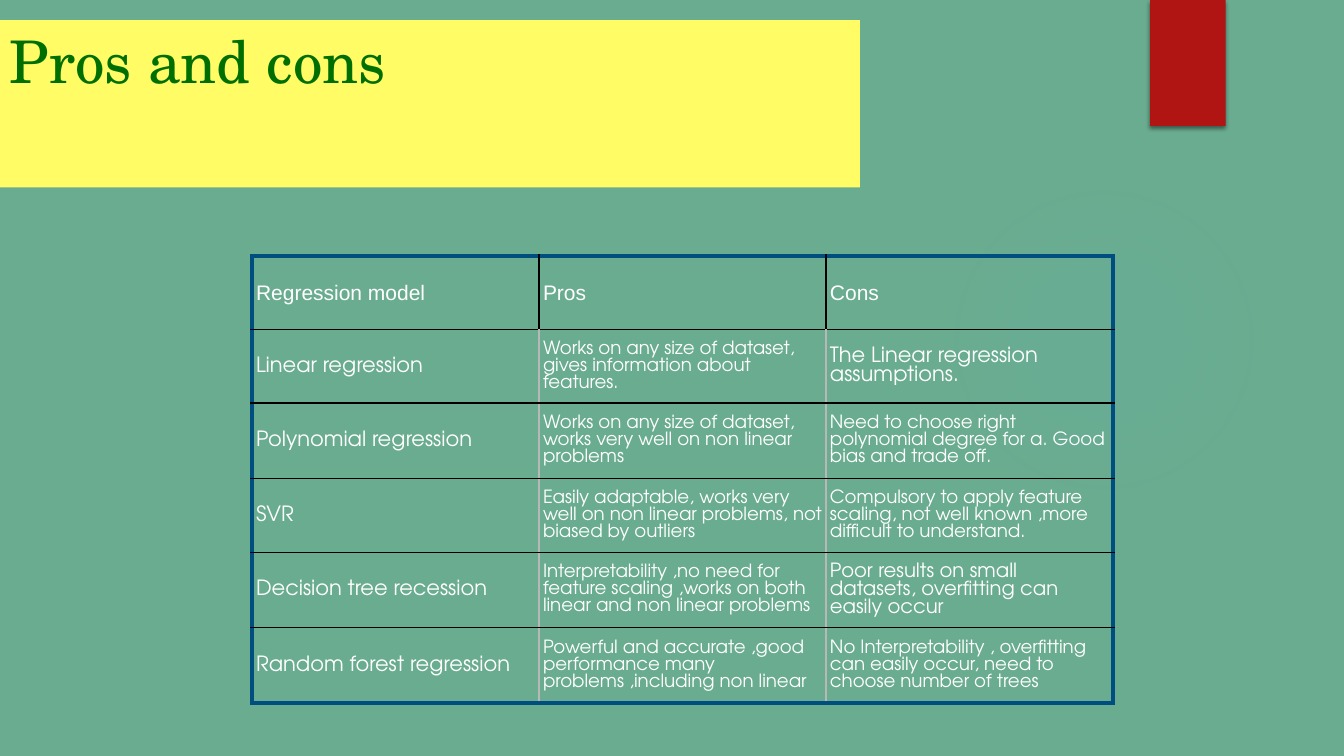
from lxml import etree
from pptx import Presentation
from pptx import util as u
from pptx.dml import color
from pptx.enum import shapes, text
from pptx.oxml import ns, parse_xml

WHITE, BLACK, BLUE, GREY = "FFFFFF", "000000", "004D80", "B8B8B8"
HEADINGS = ["Regression model", "Pros", "Cons"]
MODELS = [
    ("Linear regression",
     "Works on any size of dataset, gives information about features.",
     "The Linear regression assumptions.", 15),
    ("Polynomial regression",
     "Works on any size of dataset, works very well on non linear problems",
     "Need to choose right polynomial degree for a. Good bias and trade off.", 13),
    ("SVR",
     "Easily adaptable, works very well on non linear problems, not biased by outliers",
     "Compulsory to apply feature scaling, not well known ,more difficult to understand.", 13),
    ("Decision tree recession",
     "Interpretability ,no need for feature scaling ,works on both linear and non linear problems",
     "Poor results on small datasets, overfitting can easily occur", 14),
    ("Random forest regression",
     "Powerful and accurate ,good performance many problems ,including non linear",
     "No Interpretability , overfitting can easily occur, need to choose number of trees", 13),
]
ROW_HEIGHTS = [52.5, 52.5, 54, 52.5, 54, 54]


def rgb(value):
    return color.RGBColor.from_string(value)


def drawing(tag, body="", attributes=""):
    return parse_xml(f'<a:{tag} {ns.nsdecls("a")} {attributes}>{body}</a:{tag}>')


def tinted(value, alpha):
    return f'<a:srgbClr val="{value}"><a:alpha val="{alpha * 1000}"/></a:srgbClr>'


class SlideBuilder:
    """Holds the fonts and the current slide, and adds each kind of element."""

    title_font = "TeX Gyre Schola"
    body_font = "TeX Gyre Adventor"
    heading_font = "Arial"

    def __init__(self, page, background):
        self.page = page
        page.background.fill.solid()
        page.background.fill.fore_color.rgb = rgb(background)

    def add_words(self, frame, wording, font, size, ink, leading=None):
        para = frame.paragraphs[0]
        para.alignment = text.PP_ALIGN.LEFT
        para.line_spacing = leading
        span = para.add_run()
        span.text = wording
        for key, value in {"name": font, "size": u.Pt(size)}.items():
            setattr(span.font, key, value)
        span.font.color.rgb = rgb(ink)

    def shape(self, kind, left, top, width, height, fill):
        box = self.page.shapes.add_shape(
            kind, u.Pt(left), u.Pt(top), u.Pt(width), u.Pt(height))
        box.shadow.inherit = False
        box.line.fill.background()
        box.fill.solid()
        box.fill.fore_color.rgb = rgb(fill)
        return box

    def glow(self, left, top, size, fill, stops):
        box = self.shape(shapes.MSO_SHAPE.OVAL, left, top, size, size, fill)
        points = "".join(f'<a:gs pos="{place * 1000}">{tinted(fill, alpha)}</a:gs>'
                         for place, alpha in stops)
        middle = '<a:fillToRect l="50000" t="50000" r="50000" b="50000"/>'
        gradient = drawing(
            "gradFill", f'<a:gsLst>{points}</a:gsLst><a:path path="circle">{middle}</a:path>')
        solid = box.element.spPr.find(ns.qn("a:solidFill"))
        solid.getparent().replace(solid, gradient)

    def ribbon(self, left, top, width, height, fill):
        box = self.shape(shapes.MSO_SHAPE.RECTANGLE, left, top, width, height, fill)
        effects = box.element.spPr.find(ns.qn("a:effectLst"))
        effects.append(drawing(
            "outerShdw", tinted(BLACK, 45),
            'blurRad="38100" dist="25400" dir="5400000" rotWithShape="0"'))

    def title(self, wording, left, top, width, height, fill, ink):
        box = self.shape(shapes.MSO_SHAPE.RECTANGLE, left, top, width, height, fill)
        frame = box.text_frame
        frame.word_wrap = True
        frame.vertical_anchor = text.MSO_ANCHOR.TOP
        self.add_words(frame, wording, self.title_font, 42, ink)

    def border(self, cell, side, ink, width):
        properties = cell._tc.get_or_add_tcPr()
        line = etree.SubElement(properties, ns.qn(f"a:ln{side}"), w=str(u.Pt(width)))
        solid = etree.SubElement(line, ns.qn("a:solidFill"))
        etree.SubElement(solid, ns.qn("a:srgbClr"), val=ink)

    def cell(self, cell, row, column, last_row, last_column, wording, size):
        inner = GREY if row else BLACK
        sides = {
            "L": (inner, 1) if column else (BLUE, 3),
            "R": (inner, 1) if column < last_column else (BLUE, 3),
            "T": (BLACK, 1) if row else (BLUE, 3),
            "B": (BLACK, 1) if row < last_row else (BLUE, 3),
        }
        for side, (ink, width) in sides.items():
            self.border(cell, side, ink, width)
        cell.fill.background()
        cell.vertical_anchor = text.MSO_ANCHOR.MIDDLE
        for edge in ("left", "right", "top", "bottom"):
            setattr(cell, f"margin_{edge}", u.Pt(2.9))
        font = self.body_font if row else self.heading_font
        leading = u.Pt(round(size * 0.93, 1)) if row else None
        self.add_words(cell.text_frame, wording, font, size, WHITE, leading)

    def table(self, left, top, column_width, heights, rows):
        count = len(rows[0])
        grid = self.page.shapes.add_table(
            len(rows), count, u.Pt(left), u.Pt(top),
            u.Pt(column_width * count), u.Pt(sum(heights))).table
        grid.first_row = grid.horz_banding = False
        for column in grid.columns:
            column.width = u.Pt(column_width)
        for row, entries in enumerate(rows):
            grid.rows[row].height = u.Pt(heights[row])
            for column, (wording, size) in enumerate(entries):
                self.cell(grid.cell(row, column), row, column,
                          len(rows) - 1, count - 1, wording, size)


def main():
    deck = Presentation()
    deck.slide_width, deck.slide_height = u.Pt(960), u.Pt(540)
    slide = SlideBuilder(deck.slides.add_slide(deck.slide_layouts[6]), "6AAC90")
    slide.glow(677.5, 131.8, 221.8, "50B9C1", [(0, 7), (36, 6), (69, 0)])
    slide.ribbon(821.5, 0, 54, 90, "B01513")
    slide.title("Pros and cons", 0, 14.4, 614.2, 119.5, "FFFC66", "016F00")
    rows = [[(heading, 15) for heading in HEADINGS]]
    rows += [[(model, 15), (pros, 13), (cons, size)] for model, pros, cons, size in MODELS]
    slide.table(180, 182.9, 205, ROW_HEIGHTS, rows)
    deck.save("out.pptx")


if __name__ == "__main__":
    main()
